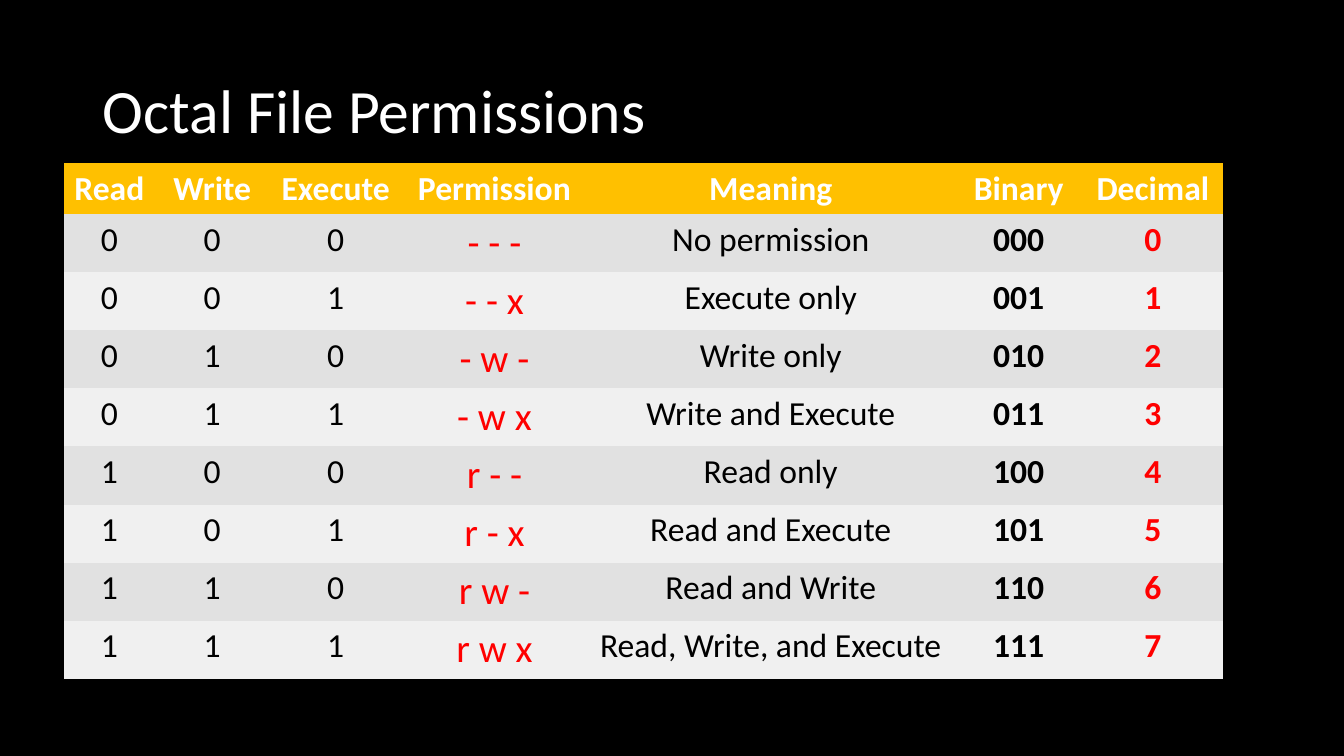
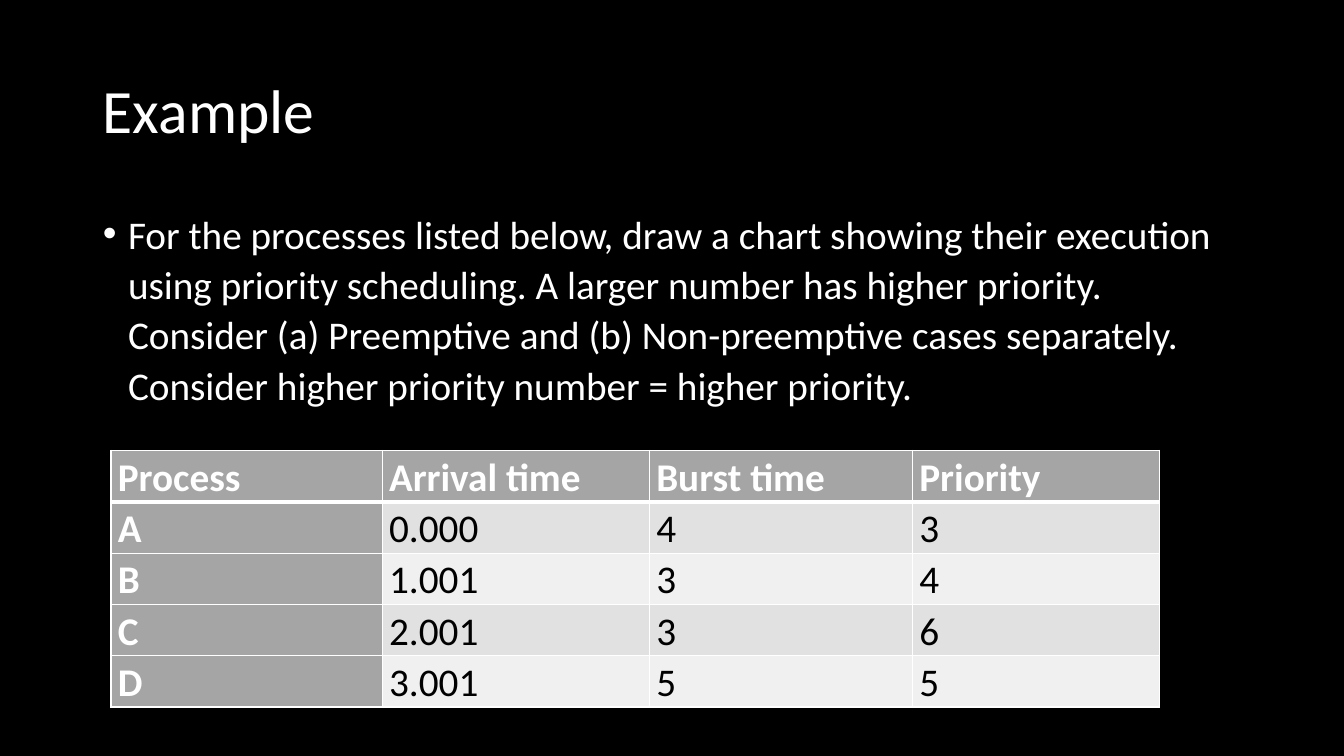
from dataclasses import dataclass

from lxml.etree import SubElement
from pptx import Presentation
from pptx.dml.color import RGBColor
from pptx.enum.text import MSO_ANCHOR, MSO_AUTO_SIZE, PP_ALIGN
from pptx.oxml.ns import qn
from pptx.util import Inches, Pt


@dataclass(frozen=True)
class Theme:
    font: str = "Calibri"
    background: str = "000000"
    light: str = "FFFFFF"
    dark: str = "000000"
    accent: str = "FF0000"
    gold: str = "FFC000"
    gray: str = "A5A5A5"
    bands: tuple = ("E1E1E1", "F0F0F0")
    title_size: int = 44
    body_size: int = 28
    cell_size: int = 24
    plain_table: str = "{2D5ABB26-0587-4C30-8999-92F81FD0307C}"


def rgb(value):
    return RGBColor.from_string(value)


def write(tf, text, *, font, size, color, bold=False, align=PP_ALIGN.LEFT,
          spacing=1.0, after=0, bullet=None, indent=0):
    p = tf.paragraphs[0]
    p.alignment = align
    p.line_spacing = spacing
    p.space_before, p.space_after = Pt(0), Pt(after)
    if bullet:
        pPr = p._p.get_or_add_pPr()
        pPr.set("marL", str(Inches(indent)))
        pPr.set("indent", str(-Inches(indent)))
        SubElement(pPr, qn("a:buFont"), typeface="Arial")
        SubElement(pPr, qn("a:buChar"), char=bullet)
    r = p.add_run()
    r.text = text
    r.font.name, r.font.size, r.font.bold = font, Pt(size), bold
    r.font.color.rgb = rgb(color)


def add_border(cell, side, color, width):
    ln = SubElement(cell._tc.get_or_add_tcPr(), qn(f"a:ln{side}"), w=str(Pt(width)))
    fill = SubElement(ln, qn("a:solidFill"))
    SubElement(fill, qn("a:srgbClr"), val=color)


class Deck:
    def __init__(self, theme):
        self.theme = theme
        self.prs = Presentation()
        self.prs.slide_width, self.prs.slide_height = Inches(13.33), Inches(7.5)
        fill = self.prs.slide_master.background.fill
        fill.solid()
        fill.fore_color.rgb = rgb(theme.background)
        self.s = None

    def slide(self, title, layout):
        self.s = self.prs.slides.add_slide(self.prs.slide_layouts.get_by_name(layout))
        self.placeholder(0, title, (0.92, 0.4, 11.5, 1.45), MSO_ANCHOR.MIDDLE,
                         size=self.theme.title_size, spacing=0.9)

    def placeholder(self, index, text, at, anchor, **fmt):
        sp = self.s.placeholders[index]
        sp.left, sp.top, sp.width, sp.height = map(Inches, at)
        tf = sp.text_frame
        tf.word_wrap, tf.auto_size = True, MSO_AUTO_SIZE.NONE
        tf.vertical_anchor = anchor
        write(tf, text, font=self.theme.font, color=self.theme.light, **fmt)

    def body(self, text):
        self.placeholder(1, text, (0.92, 2, 11.5, 4.76), MSO_ANCHOR.TOP,
                         size=self.theme.body_size, spacing=1.07, after=8,
                         bullet="•", indent=0.25)

    def table(self, rows, left, top, widths, header_height, row_height, head_fill, *,
              head_column=False, borders=False, margins=None, columns=None, **fmt):
        t = self.theme
        heights = [header_height] + [row_height] * (len(rows) - 1)
        frame = self.s.shapes.add_table(
            len(rows), len(widths), Inches(left), Inches(top),
            Inches(sum(widths)), Inches(sum(heights)))
        table = frame.table
        table._tbl.tblPr.find(qn("a:tableStyleId")).text = t.plain_table
        for column, width in zip(table.columns, widths):
            column.width = Inches(width)
        for i, (row, height) in enumerate(zip(rows, heights)):
            table.rows[i].height = Inches(height)
            for j, text in enumerate(row):
                cell = table.cell(i, j)
                head = i == 0 or (head_column and j == 0)
                if borders:
                    for side in "LRTB":
                        thick = (i, side) in ((0, "B"), (1, "T"))
                        add_border(cell, side, t.light, 3 if thick else 1)
                if margins:
                    (cell.margin_left, cell.margin_top,
                     cell.margin_right, cell.margin_bottom) = map(Inches, margins)
                cell.fill.solid()
                cell.fill.fore_color.rgb = rgb(head_fill if head else t.bands[(i - 1) % 2])
                look = {"font": t.font, "color": t.light if head else t.dark,
                        "bold": head, **fmt}
                if not head and columns:
                    look.update(columns.get(j, {}))
                write(cell.text_frame, text, **look)


def permission_rows():
    meanings = ["No permission", "Execute only", "Write only", "Write and Execute",
                "Read only", "Read and Execute", "Read and Write",
                "Read, Write, and Execute"]
    rows = [["Read", "Write", "Execute", "Permission", "Meaning", "Binary", "Decimal"]]
    for value, meaning in enumerate(meanings):
        bits = f"{value:03b}"
        flags = " ".join(flag if bit == "1" else "-" for flag, bit in zip("rwx", bits))
        rows.append([*bits, flags, meaning, bits, str(value)])
    return rows


def main():
    theme = Theme()
    deck = Deck(theme)

    deck.slide("Octal File Permissions", "Title Only")
    deck.table(permission_rows(), 0.63, 1.62, [0.91, 1.13, 1.32, 1.83, 3.65, 1.27, 1.39],
               0.5, 0.57, theme.gold, size=theme.cell_size, align=PP_ALIGN.CENTER,
               columns={3: {"size": theme.body_size, "color": theme.accent},
                        5: {"bold": True},
                        6: {"bold": True, "color": theme.accent}})

    deck.slide("Example", "Title and Content")
    deck.body("For the processes listed below, draw a chart showing their execution using "
              "priority scheduling. A larger number has higher priority. Consider (a) "
              "Preemptive and (b) Non-preemptive cases separately. Consider higher "
              "priority number = higher priority.")
    processes = [["Process", "Arrival time", "Burst time", "Priority"],
                 ["A", "0.000", "4", "3"],
                 ["B", "1.001", "3", "4"],
                 ["C", "2.001", "3", "6"],
                 ["D", "3.001", "5", "5"]]
    deck.table(processes, 1.1, 4.47, [2.69, 2.65, 2.61, 2.45], 0.5, 0.5, theme.gray,
               head_column=True, borders=True, margins=(0.07, 0, 0.07, 0),
               size=theme.body_size, spacing=1.07, after=8)

    deck.prs.save("out.pptx")


if __name__ == "__main__":
    main()
